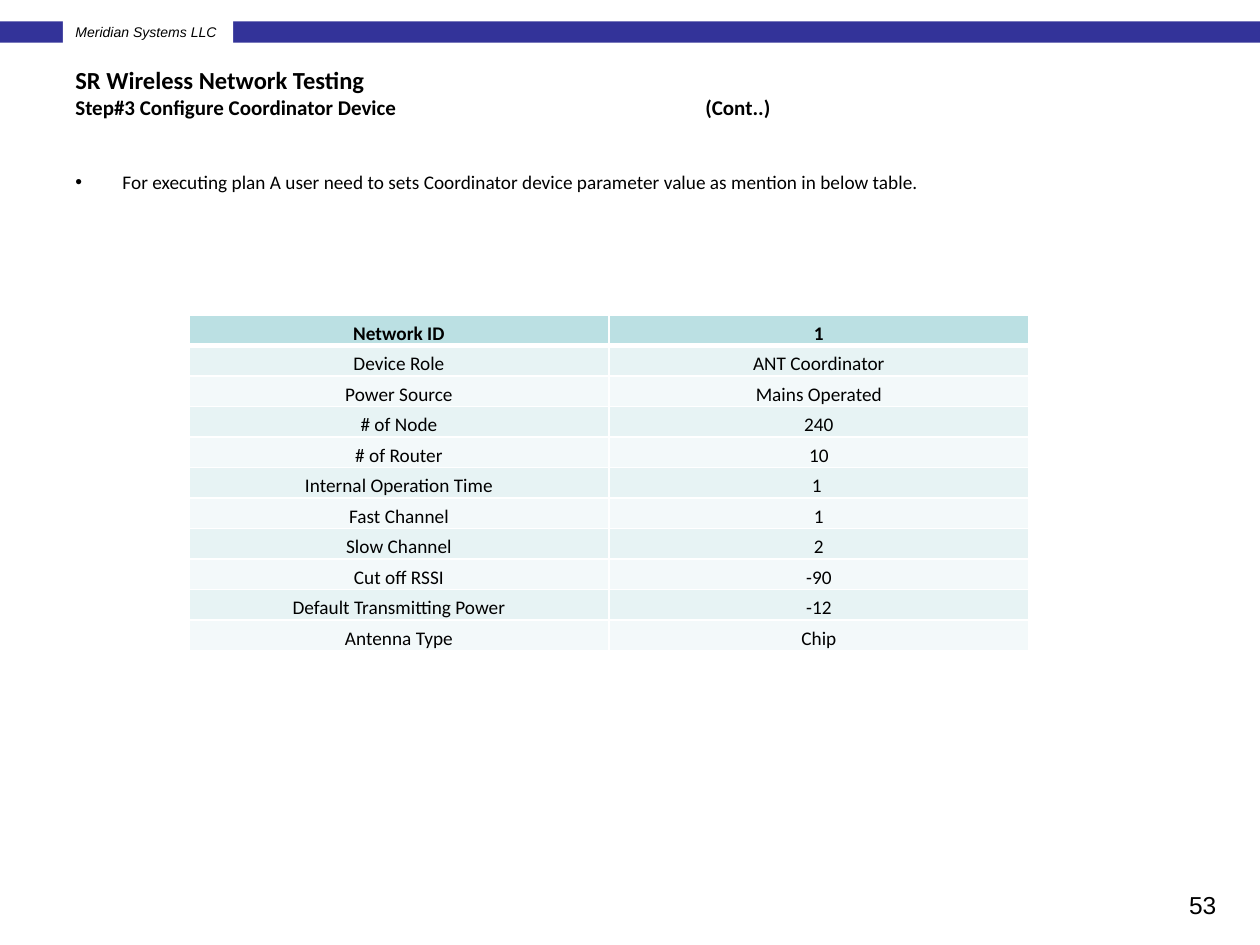
"""Build the coordinator device configuration slide."""
from lxml import etree
from pptx import Presentation
from pptx import util as u
from pptx.dml import color
from pptx.enum import shapes, text
from pptx.oxml import ns


def rgb(value):
    return color.RGBColor.from_string(value)


def style(paragraph, size, name="Calibri", bold=False, italic=False):
    for run in paragraph.runs:
        run.font.size = u.Pt(size)
        run.font.name = name
        run.font.bold = bold
        run.font.italic = italic
        run.font.color.rgb = rgb("000000")


presentation = Presentation()
presentation.slide_width = u.Cm(25.4)
presentation.slide_height = u.Cm(19.05)
slide = presentation.slides.add_slide(presentation.slide_layouts[6])

header_bar = (0, 0.43, 25.4, 0.43, "333399")
company_label = (1.27, 0.36, 3.43, 0.61, "FFFFFF")
for left, top, width, height, fill in (header_bar, company_label):
    shape = slide.shapes.add_shape(
        shapes.MSO_SHAPE.RECTANGLE, u.Cm(left), u.Cm(top), u.Cm(width), u.Cm(height))
    shape.shadow.inherit = False
    shape.fill.solid()
    shape.fill.fore_color.rgb = rgb(fill)
    shape.line.fill.background()

shape.text_frame.text = "Meridian Systems LLC"
shape.text_frame.word_wrap = False
shape.text_frame.vertical_anchor = text.MSO_ANCHOR.TOP
paragraph = shape.text_frame.paragraphs[0]
paragraph.alignment = text.PP_ALIGN.LEFT
style(paragraph, 8, "Arial", italic=True)

title = slide.shapes.add_textbox(u.Cm(1.27), u.Cm(1.22), u.Cm(22.86), u.Cm(1.27))
title.text_frame.word_wrap = True
title.text_frame.vertical_anchor = text.MSO_ANCHOR.MIDDLE
title.text_frame.text = "SR Wireless Network Testing\nStep#3 Configure Coordinator Device\t(Cont..)"
heading, step = title.text_frame.paragraphs
tabs = etree.SubElement(step._p.get_or_add_pPr(), ns.qn("a:tabLst"))
etree.SubElement(tabs, ns.qn("a:tab"), pos=str(u.Cm(12.7)), algn="l")
style(heading, 14, bold=True)
style(step, 12, bold=True)

body = slide.shapes.add_textbox(u.Cm(1.27), u.Cm(2.74), u.Cm(22.86), u.Cm(14.35))
body.text_frame.word_wrap = True
body.text_frame.margin_top = u.Cm(0.69)
body.text_frame.text = (
    "For executing plan A user need to sets Coordinator device parameter value "
    "as mention in below table.")
paragraph = body.text_frame.paragraphs[0]
properties = paragraph._p.get_or_add_pPr()
properties.set("marL", str(u.Cm(0.95)))
properties.set("indent", str(-u.Cm(0.95)))
etree.SubElement(properties, ns.qn("a:buFont"), typeface="Arial")
etree.SubElement(properties, ns.qn("a:buChar"), char="•")
style(paragraph, 11)

page_number = slide.shapes.add_textbox(u.Cm(18.85), u.Cm(17.81), u.Cm(5.92), u.Cm(0.89))
page_number.text_frame.word_wrap = True
page_number.text_frame.text = "53"
paragraph = page_number.text_frame.paragraphs[0]
paragraph.alignment = text.PP_ALIGN.RIGHT
style(paragraph, 14, "Arial")

parameters = [
    ("Network ID", "1"),
    ("Device Role", "ANT Coordinator"),
    ("Power Source", "Mains Operated"),
    ("# of Node", "240"),
    ("# of Router", "10"),
    ("Internal Operation Time", "1 "),
    ("Fast Channel", "1"),
    ("Slow Channel", "2"),
    ("Cut off RSSI", "-90"),
    ("Default Transmitting Power", "-12"),
    ("Antenna Type", "Chip"),
]
table = slide.shapes.add_table(
    len(parameters), 2, u.Cm(3.81), u.Cm(6.35), u.Cm(16.93), u.Cm(6.77)).table
table.horz_banding = False
for row_index, values in enumerate(parameters):
    is_header = row_index == 0
    fill = "BBE0E3" if is_header else ("F3F9FA", "E7F3F4")[row_index % 2]
    widths = {"L": 1, "R": 1, "T": 3 if row_index == 1 else 1, "B": 3 if is_header else 1}
    for column_index, value in enumerate(values):
        cell = table.cell(row_index, column_index)
        cell.text_frame.text = value
        cell.vertical_anchor = text.MSO_ANCHOR.BOTTOM
        cell.margin_left = cell.margin_right = u.Cm(0.18)
        cell.margin_top = cell.margin_bottom = 0
        for side, width in widths.items():
            border = etree.SubElement(
                cell._tc.get_or_add_tcPr(), ns.qn(f"a:ln{side}"), w=str(u.Pt(width)))
            border_fill = etree.SubElement(border, ns.qn("a:solidFill"))
            etree.SubElement(border_fill, ns.qn("a:srgbClr"), val="FFFFFF")
        cell.fill.solid()
        cell.fill.fore_color.rgb = rgb(fill)
        paragraph = cell.text_frame.paragraphs[0]
        paragraph.alignment = text.PP_ALIGN.CENTER
        paragraph.line_spacing = 1.07
        style(paragraph, 11, bold=is_header)

presentation.save("out.pptx")
